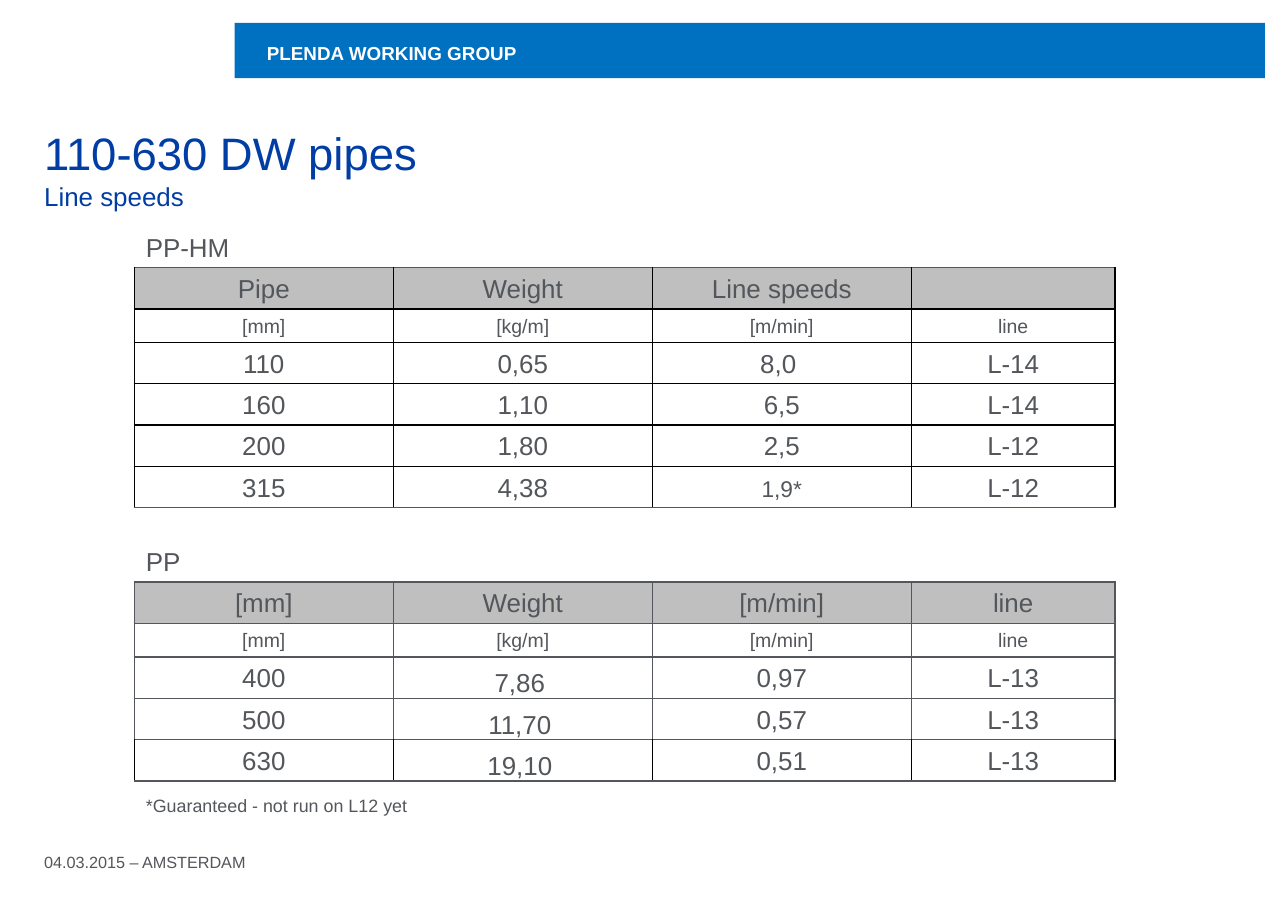
from lxml import etree
from pptx import Presentation
from pptx.dml.color import RGBColor
from pptx.enum.shapes import MSO_SHAPE
from pptx.enum.text import MSO_ANCHOR, MSO_AUTO_SIZE, PP_ALIGN
from pptx.oxml.ns import qn
from pptx.util import Cm, Pt

RECTANGLE = MSO_SHAPE.RECTANGLE
TOP, MIDDLE, BOTTOM = MSO_ANCHOR.TOP, MSO_ANCHOR.MIDDLE, MSO_ANCHOR.BOTTOM
NO_AUTOFIT = MSO_AUTO_SIZE.NONE
LEFT, CENTER = PP_ALIGN.LEFT, PP_ALIGN.CENTER
FONT = "Arial"
WHITE, BLACK, GREY, SILVER = "FFFFFF", "000000", "53565A", "BFBFBF"
BAND_BLUE, TITLE_BLUE = "0070C0", "003DA5"
colour = RGBColor.from_string


def add_span(para, text, size, ink=GREY, bold=False):
    span = para.add_run()
    span.text = text
    span.font.name = FONT
    span.font.size = Pt(size)
    span.font.bold = bold
    span.font.color.rgb = colour(ink)


def set_border(cell, side, ink):
    line = etree.SubElement(cell._tc.get_or_add_tcPr(), qn(f"a:ln{side}"), w=str(Pt(1)))
    if ink:
        fill = etree.SubElement(line, qn("a:solidFill"))
        etree.SubElement(fill, qn("a:srgbClr"), val=ink)
    else:
        etree.SubElement(line, qn("a:noFill"))


deck = Presentation()
deck.slide_width = Cm(28)
deck.slide_height = Cm(19.7)
page = deck.slides.add_slide(deck.slide_layouts[5])

band = page.shapes.add_shape(RECTANGLE, Cm(5.1), Cm(0.5), Cm(22.4), Cm(1.2))
band.shadow.inherit = False
band.fill.solid()
band.fill.fore_color.rgb = colour(BAND_BLUE)
band.line.fill.background()

labels = [
    ("PLENDA WORKING GROUP", 5.8, 0.5, 21, 1.2, 11.6, WHITE, True, MIDDLE, 0.1),
    ("04.03.2015 – AMSTERDAM", 0.96, 18.15, 19.35, 0.8, 10, GREY, False, BOTTOM, 0),
]
for text, left, top, width, height, size, ink, bold, anchor, inset in labels:
    box = page.shapes.add_textbox(Cm(left), Cm(top), Cm(width), Cm(height))
    frame = box.text_frame
    frame.word_wrap = True
    frame.vertical_anchor = anchor
    frame.margin_left = frame.margin_right = frame.margin_bottom = 0
    frame.margin_top = Cm(inset)
    add_span(frame.paragraphs[0], text, size, ink, bold)

title = page.shapes.title
title.left, title.top, title.width, title.height = Cm(0.96), Cm(2.73), Cm(25.86), Cm(1.5)
frame = title.text_frame
frame.auto_size = NO_AUTOFIT
frame.vertical_anchor = TOP
frame.margin_left = frame.margin_right = frame.margin_top = frame.margin_bottom = 0
para = frame.paragraphs[0]
para.alignment = LEFT
add_span(para, "110-630 DW pipes", 28, TITLE_BLUE)
para.add_line_break()
add_span(para, "Line speeds", 16, TITLE_BLUE)

units = ["[mm]", "[kg/m]", "[m/min]", "line"]
rows = [
    ("caption", ["PP-HM", "", "", ""], None, None, GREY),
    ("header", ["Pipe", "Weight", "Line speeds", ""], BLACK, GREY, BLACK),
    ("units", units, BLACK, BLACK, BLACK),
    ("values", ["110", "0,65", "8,0 ", "L-14"], BLACK, BLACK, BLACK),
    ("values", ["160", "1,10", "6,5", "L-14"], BLACK, BLACK, BLACK),
    ("values", ["200", "1,80", "2,5", "L-12"], BLACK, BLACK, BLACK),
    ("values", ["315", "4,38", "1,9*", "L-12"], BLACK, BLACK, GREY),
    ("gap", ["PP", "", "", ""], None, GREY, GREY),
    ("header", ["[mm]", "Weight", "[m/min]", "line"], GREY, GREY, GREY),
    ("units", units, GREY, GREY, GREY),
    ("values", ["400", "7,86", "0,97", "L-13"], GREY, GREY, GREY),
    ("values", ["500", "11,70", "0,57", "L-13"], GREY, GREY, GREY),
    ("values", ["630", "19,10", "0,51", "L-13"], BLACK, GREY, GREY),
    ("note", ["*Guaranteed - not run on L12 yet", "", "", ""], None, GREY, None),
]
heights = {"units": 0.73, "gap": 1.62}
sizes = {"units": 12, "note": 11}
low_weights = {"7,86", "11,70", "19,10"}
column_widths = [5.63, 5.63, 5.63, 4.43]
row_heights = [heights.get(row[0], 0.88) for row in rows]

grid = page.shapes.add_table(
    len(rows), len(column_widths), Cm(2.92), Cm(4.92),
    Cm(sum(column_widths)), Cm(sum(row_heights)),
)
speeds = grid.table
speeds.first_row = False
speeds.horz_banding = False
for column, width in zip(speeds.columns, column_widths):
    column.width = Cm(width)

for row, height, (kind, texts, side, top, bottom) in zip(speeds.rows, row_heights, rows):
    row.height = Cm(height)
    for cell, text in zip(row.cells, texts):
        for edge, ink in zip("LRTB", (side, side, top, bottom)):
            set_border(cell, edge, ink)
        cell.fill.solid()
        cell.fill.fore_color.rgb = colour(SILVER if kind == "header" else WHITE)
        cell.vertical_anchor = BOTTOM
        cell.margin_left = cell.margin_right = Cm(0.25)
        cell.margin_top = cell.margin_bottom = Cm(0.11)
        if text in low_weights:
            cell.margin_left = cell.margin_top = Cm(0.02)
            cell.margin_right, cell.margin_bottom = Cm(0.15), 0
        para = cell.text_frame.paragraphs[0]
        para.alignment = LEFT if kind in ("caption", "gap", "note") else CENTER
        if text:
            add_span(para, text, 14 if text == "1,9*" else sizes.get(kind, 16))
        else:
            etree.SubElement(para._p, qn("a:endParaRPr"), sz="1200")

speeds.cell(len(rows) - 1, 0).merge(speeds.cell(len(rows) - 1, 1))

deck.save("out.pptx")
